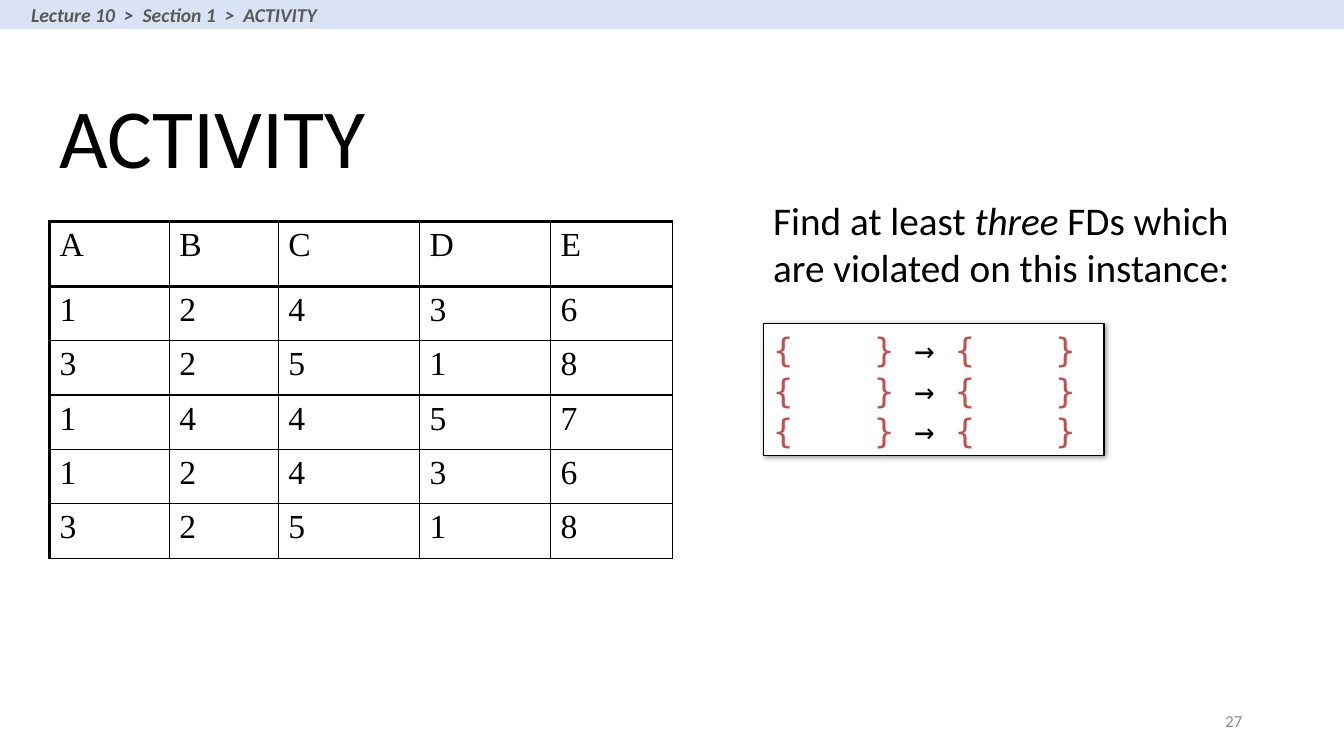
from lxml import etree
from pptx import Presentation
from pptx.dml.color import RGBColor
from pptx.enum.shapes import MSO_SHAPE
from pptx.enum.text import MSO_ANCHOR, MSO_AUTO_SIZE, PP_ALIGN
from pptx.oxml.ns import qn
from pptx.util import Inches, Pt

RECT = MSO_SHAPE.RECTANGLE
TOP, MIDDLE, BOTTOM = MSO_ANCHOR.TOP, MSO_ANCHOR.MIDDLE, MSO_ANCHOR.BOTTOM
LEFT, RIGHT = PP_ALIGN.LEFT, PP_ALIGN.RIGHT
FIT_SHAPE = MSO_AUTO_SIZE.SHAPE_TO_FIT_TEXT

BLACK = RGBColor(0x00, 0x00, 0x00)
WHITE = RGBColor(0xFF, 0xFF, 0xFF)
GREY = RGBColor(0x8C, 0x8C, 0x8C)
DARK_GREY = RGBColor(0x59, 0x59, 0x59)
PALE_BLUE = RGBColor(0xDA, 0xE3, 0xF3)
RED = RGBColor(0xC0, 0x50, 0x4D)

SANS, SERIF, MONO = "Calibri", "Times New Roman", "DejaVu Sans Mono"

BREADCRUMB = "Lecture 10  >  Section 1  >  ACTIVITY"
TITLE = "ACTIVITY"
PAGE_NUMBER = "27"
TASK = [("Find at least ", False), ("three", True),
        (" FDs which are violated on this instance:", False)]
INSTANCE = ["ABCDE", "12436", "32518", "14457", "12436", "32518"]
COLUMN_WIDTHS = [1.19, 1.08, 1.4, 1.3, 1.21]
HEADER_HEIGHT, ROW_HEIGHT = 0.64, 0.54
THICK, THIN = 2.25, 1
FD_BLANK = [("{\t} ", RED), ("→ ", BLACK), ("{\t}", RED)]
FD_COUNT = 3
CHAR_WIDTH = 0.2  # one monospaced character at 24 pt
BRACE_COLUMNS = [5, 14]


def add_run(p, text, size, color, font=SANS, bold=False, italic=False):
    r = p.add_run()
    r.text = text
    r.font.name, r.font.size = font, Pt(size)
    r.font.bold, r.font.italic = bold, italic
    r.font.color.rgb = color


def add_text_box(slide, box, anchor=TOP, align=LEFT, wrap=True):
    """Add an empty text box; return its text frame and first paragraph."""
    tf = slide.shapes.add_textbox(*map(Inches, box)).text_frame
    tf.word_wrap = wrap
    tf.vertical_anchor = anchor
    p = tf.paragraphs[0]
    p.alignment = align
    return tf, p


def add_rect(slide, box, fill):
    sp = slide.shapes.add_shape(RECT, *map(Inches, box))
    sp.shadow.inherit = False
    sp.fill.solid()
    sp.fill.fore_color.rgb = fill
    sp.line.fill.background()
    return sp


def add_black(parent, alpha=None):
    color = etree.SubElement(parent, qn("a:srgbClr"), val="000000")
    if alpha:
        etree.SubElement(color, qn("a:alpha"), val=str(alpha))


def set_borders(cell, widths):
    tcPr = cell._tc.get_or_add_tcPr()
    for side, width in widths.items():
        line = etree.SubElement(tcPr, qn(f"a:ln{side}"), w=str(Pt(width)))
        add_black(etree.SubElement(line, qn("a:solidFill")))


def add_shadow(sp):
    effects = sp._element.spPr.find(qn("a:effectLst"))
    shadow = etree.SubElement(
        effects, qn("a:outerShdw"), blurRad=str(Pt(4)), dist=str(Pt(1)),
        dir="2700000", algn="tl", rotWithShape="0")
    add_black(shadow, 40000)


def add_instance_table(slide):
    heights = [HEADER_HEIGHT] + [ROW_HEIGHT] * (len(INSTANCE) - 1)
    frame = slide.shapes.add_table(
        len(INSTANCE), len(COLUMN_WIDTHS), Inches(0.49), Inches(2.2),
        Inches(sum(COLUMN_WIDTHS)), Inches(sum(heights)))
    table = frame.table
    table.first_row = table.horz_banding = False
    for column, width in zip(table.columns, COLUMN_WIDTHS):
        column.width = Inches(width)
    for i, values in enumerate(INSTANCE):
        table.rows[i].height = Inches(heights[i])
        for j, value in enumerate(values):
            cell = table.cell(i, j)
            add_run(cell.text_frame.paragraphs[0], value, 24, BLACK, SERIF)
            set_borders(cell, {"L": THICK if j == 0 else THIN, "R": THIN,
                               "T": THICK if i <= 1 else THIN,
                               "B": THICK if i == 0 else THIN})
            cell.fill.background()


def add_answer_box(slide):
    sp = add_rect(slide, (7.57, 3.21, 3.38, 1.31), WHITE)
    sp.line.color.rgb = BLACK
    sp.line.width = Pt(0.75)
    add_shadow(sp)
    tf = sp.text_frame
    tf.word_wrap = True
    tf.auto_size = FIT_SHAPE
    tf.vertical_anchor = MIDDLE
    for i in range(FD_COUNT):
        p = tf.add_paragraph() if i else tf.paragraphs[0]
        p.alignment = LEFT
        tabs = etree.SubElement(p._p.get_or_add_pPr(), qn("a:tabLst"))
        for column in BRACE_COLUMNS:
            etree.SubElement(tabs, qn("a:tab"), algn="l",
                             pos=str(Inches(column * CHAR_WIDTH)))
        for text, color in FD_BLANK:
            add_run(p, text, 24, color, MONO)


def main():
    prs = Presentation()
    prs.slide_width, prs.slide_height = Inches(13.33), Inches(7.5)
    slide = prs.slides.add_slide(prs.slide_layouts[6])

    tf, p = add_text_box(slide, (0.49, 0.77, 11.5, 1.13), BOTTOM)
    p.line_spacing = 0.9
    add_run(p, TITLE, 60, BLACK)

    tf, p = add_text_box(slide, (9.42, 6.95, 3, 0.4), MIDDLE, RIGHT)
    add_run(p, PAGE_NUMBER, 12, GREY)

    add_rect(slide, (0, 0, 13.33, 0.29), PALE_BLUE)
    tf, p = add_text_box(slide, (0.21, -0.02, 3.1, 0.34), wrap=False)
    tf.auto_size = FIT_SHAPE
    add_run(p, BREADCRUMB, 14, DARK_GREY, bold=True, italic=True)

    add_instance_table(slide)

    tf, p = add_text_box(slide, (7.57, 1.9, 5.06, 1.04))
    tf.auto_size = FIT_SHAPE
    for text, italic in TASK:
        add_run(p, text, 28, BLACK, italic=italic)

    add_answer_box(slide)
    prs.save("out.pptx")


if __name__ == "__main__":
    main()
